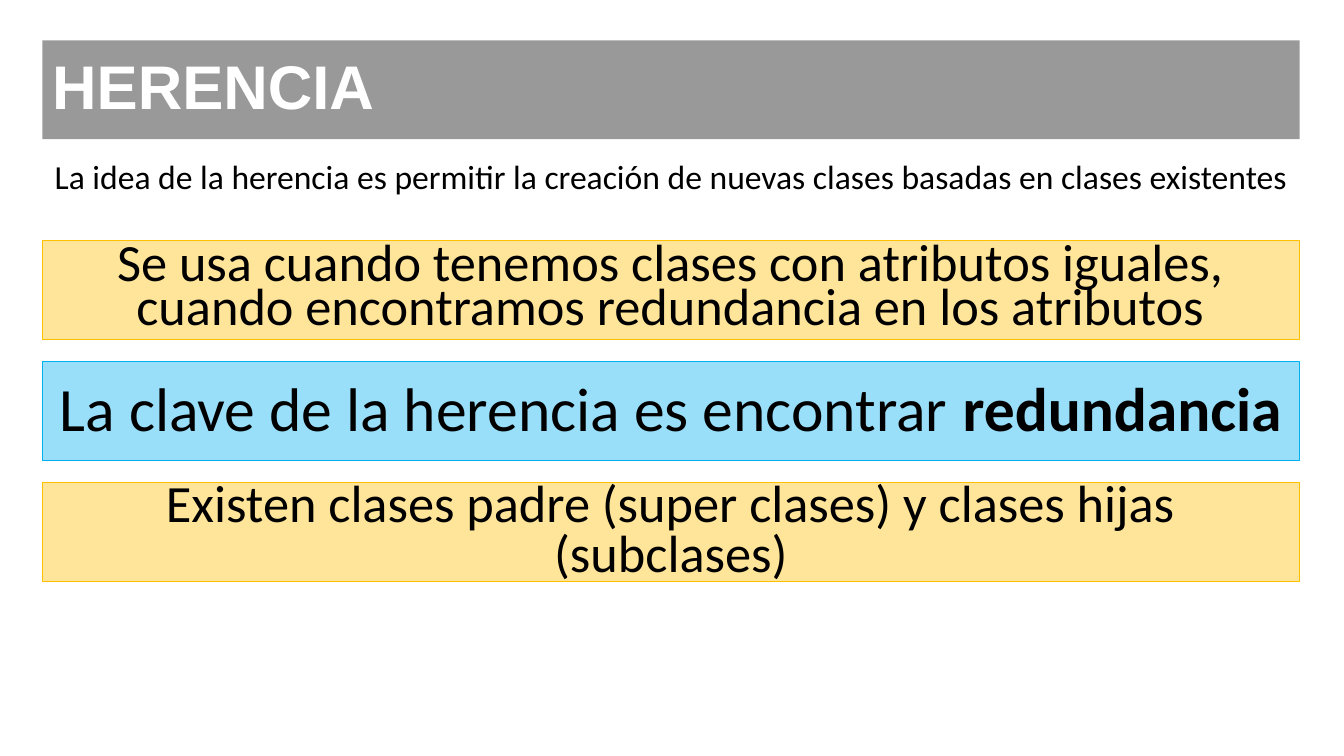
from lxml import etree
from pptx import Presentation
from pptx.dml.color import RGBColor
from pptx.enum.shapes import MSO_SHAPE
from pptx.enum.text import MSO_ANCHOR, PP_ALIGN
from pptx.oxml.ns import qn
from pptx.util import Inches, Pt

RECT = MSO_SHAPE.RECTANGLE
MIDDLE = MSO_ANCHOR.MIDDLE
LEFT, CENTER = PP_ALIGN.LEFT, PP_ALIGN.CENTER

BLACK, WHITE, AMBER, BLUE = "000000", "FFFFFF", "FFC000", "00B0F0"
MARGIN, WIDTH, BAND_HEIGHT = 0.42, 12.47, 0.98
FIRST_BAND, BAND_STEP = 2.39, 1.2


def rgb(value):
    return RGBColor.from_string(value)


def set_text(s, runs, size, spacing, align=CENTER, font="Calibri", color=BLACK):
    """Write one paragraph from (text, bold) pairs."""
    tf = s.text_frame
    tf.word_wrap = True
    tf.vertical_anchor = MIDDLE
    p = tf.paragraphs[0]
    p.alignment = align
    p.line_spacing = spacing
    for text, bold in runs:
        r = p.add_run()
        r.text = text
        r.font.name = font
        r.font.size = Pt(size)
        r.font.bold = bold
        r.font.color.rgb = rgb(color)


def add_band(slide, top, color, outlined=True):
    """Add a full-width rectangle filled at 40 % opacity."""
    s = slide.shapes.add_shape(RECT, Inches(MARGIN), Inches(top),
                               Inches(WIDTH), Inches(BAND_HEIGHT))
    s.shadow.inherit = False
    s.fill.solid()
    s.fill.fore_color.rgb = rgb(color)
    fill_color = s._element.spPr.find(qn("a:solidFill"))[0]
    etree.SubElement(fill_color, qn("a:alpha"), val="40000")
    if outlined:
        s.line.color.rgb = rgb(color)
        s.line.width = Pt(0.75)
    else:
        s.line.fill.background()
    return s


def add_title(slide, text):
    s = add_band(slide, 0.4, BLACK, outlined=False)
    set_text(s, [(text, True)], 44, 0.9, LEFT, "Arial", WHITE)


def add_intro(slide, text):
    s = slide.shapes.add_textbox(Inches(MARGIN), Inches(1.38),
                                 Inches(WIDTH), Inches(0.79))
    set_text(s, [(text, False)], 24, 0.9)


def main():
    prs = Presentation()
    prs.slide_width, prs.slide_height = Inches(13.33), Inches(7.5)
    slide = prs.slides.add_slide(prs.slide_layouts[6])

    add_title(slide, "HERENCIA")
    add_intro(slide, "La idea de la herencia es permitir la creación de "
                     "nuevas clases basadas en clases existentes")

    key_points = [
        (AMBER, 37.4, 0.7,
         [("Se usa cuando tenemos clases con atributos iguales, "
           "cuando encontramos redundancia en los atributos", False)]),
        (BLUE, 44, 0.9,
         [("La clave de la herencia es encontrar ", False),
          ("redundancia", True)]),
        (AMBER, 37.4, 0.8,
         [("Existen clases padre (super clases) y clases hijas "
           "(subclases)", False)]),
    ]
    for i, (color, size, spacing, runs) in enumerate(key_points):
        s = add_band(slide, FIRST_BAND + i * BAND_STEP, color)
        set_text(s, runs, size, spacing)

    prs.save("out.pptx")


if __name__ == "__main__":
    main()
